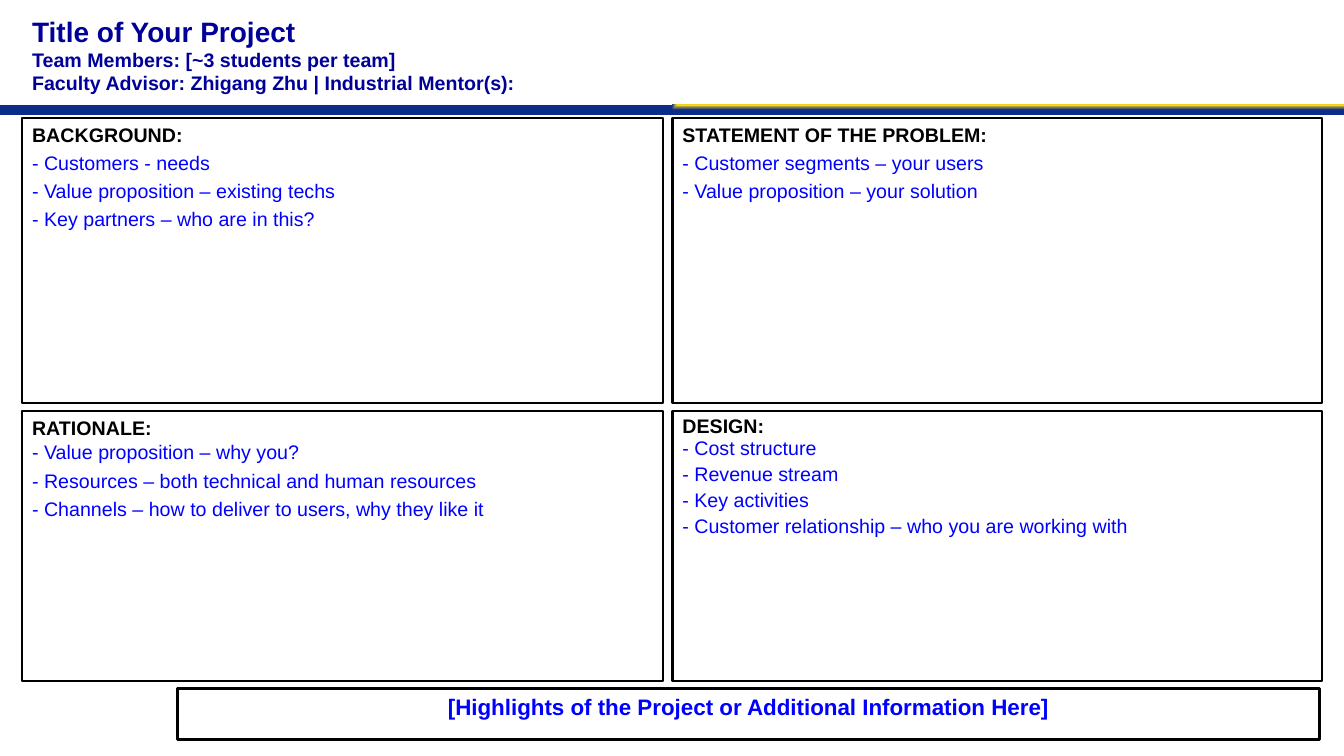
"""Build a one-page project summary slide with four quadrants."""
from pptx import Presentation
from pptx.dml.color import RGBColor
from pptx.enum.shapes import MSO_SHAPE as Shape
from pptx.enum.text import MSO_ANCHOR as Anchor, PP_ALIGN as Align
from pptx.oxml import parse_xml
from pptx.oxml.ns import nsdecls, qn
from pptx.util import Inches, Pt

COLORS = {"title": "000099", "heading": "000000", "item": "0000FF",
          "border": "000000", "gold": "FED910", "navy": "0D2B88"}

deck = Presentation()
deck.slide_width, deck.slide_height = Inches(13.33), Inches(7.5)
slide = deck.slides.add_slide(deck.slide_layouts[6])


def add_line(frame, text, color, size=14, bold=False, align=Align.LEFT,
             spacing=1.0, before=0, after=0):
    first = not frame.text
    line = frame.paragraphs[0] if first else frame.add_paragraph()
    line.text, line.alignment, line.line_spacing = text, align, spacing
    line.space_before, line.space_after = Pt(0 if first else before), Pt(after)
    line.font.name, line.font.size, line.font.bold = "Arial", Pt(size), bold
    line.font.color.rgb = RGBColor.from_string(COLORS[color])


def add_panel(left, top, width, height, border=1.5):
    panel = slide.shapes.add_shape(
        Shape.RECTANGLE, Inches(left), Inches(top), Inches(width), Inches(height))
    panel.shadow.inherit = False
    panel.fill.background()
    if border:
        panel.line.color.rgb = RGBColor.from_string(COLORS["border"])
        panel.line.width = Pt(border)
    else:
        panel.line.fill.background()
    panel.text_frame.word_wrap = True
    panel.text_frame.vertical_anchor = Anchor.TOP
    return panel


divider = add_panel(0, 1.04, 13.33, 0.1, border=0)
divider.fill.gradient()
for stop, color in zip(divider.fill.gradient_stops, ("gold", "navy")):
    stop.color.rgb = RGBColor.from_string(COLORS[color])
gradient = divider._element.spPr.find(qn("a:gradFill"))
gradient.replace(gradient.find(qn("a:lin")), parse_xml(
    f'<a:path {nsdecls("a")} path="rect"><a:fillToRect l="100000" b="100000"/></a:path>'))

header = slide.shapes.add_textbox(Inches(0.22), 0, Inches(12.03), Inches(1.08)).text_frame
header.word_wrap = True
header.vertical_anchor = Anchor.MIDDLE
for text, size in (("Title of Your Project", 20),
                   ("Team Members: [~3 students per team]", 14),
                   ("Faculty Advisor: Zhigang Zhu | Industrial Mentor(s):", 14)):
    add_line(header, text, "title", size=size, bold=True)

columns = ((0.22, 6.36), (6.67, 6.44))
rows = ((1.17, 2.83), (4.08, 2.68))
loose = {"before": 3.2}
medium = {"spacing": 0.9, "before": 2.3, "after": 2.7}
tight = {"spacing": 0.8, "before": 2.3, "after": 2.7}
quadrants = (
    (0, 0, "BACKGROUND:", 1.0, loose,
     ("Customers - needs", "Value proposition – existing techs",
      "Key partners – who are in this?")),
    (0, 1, "STATEMENT OF THE PROBLEM:", 1.0, loose,
     ("Customer segments – your users", "Value proposition – your solution")),
    (1, 0, "RATIONALE:", 1.0, medium,
     ("Value proposition – why you?",
      "Resources – both technical and human resources",
      "Channels – how to deliver to users, why they like it")),
    (1, 1, "DESIGN:", 0.9, tight,
     ("Cost structure", "Revenue stream", "Key activities",
      "Customer relationship – who you are working with")),
)
for row, column, heading, heading_spacing, item_format, items in quadrants:
    left, width = columns[column]
    top, height = rows[row]
    quadrant = add_panel(left, top, width, height).text_frame
    add_line(quadrant, heading, "heading", bold=True, spacing=heading_spacing)
    for item in items:
        add_line(quadrant, f"- {item}", "item", **item_format)

highlights = add_panel(1.76, 6.83, 11.33, 0.51, border=2).text_frame
add_line(highlights, "[Highlights of the Project or Additional Information Here]",
         "item", size=16, bold=True, align=Align.CENTER)

deck.save("out.pptx")
